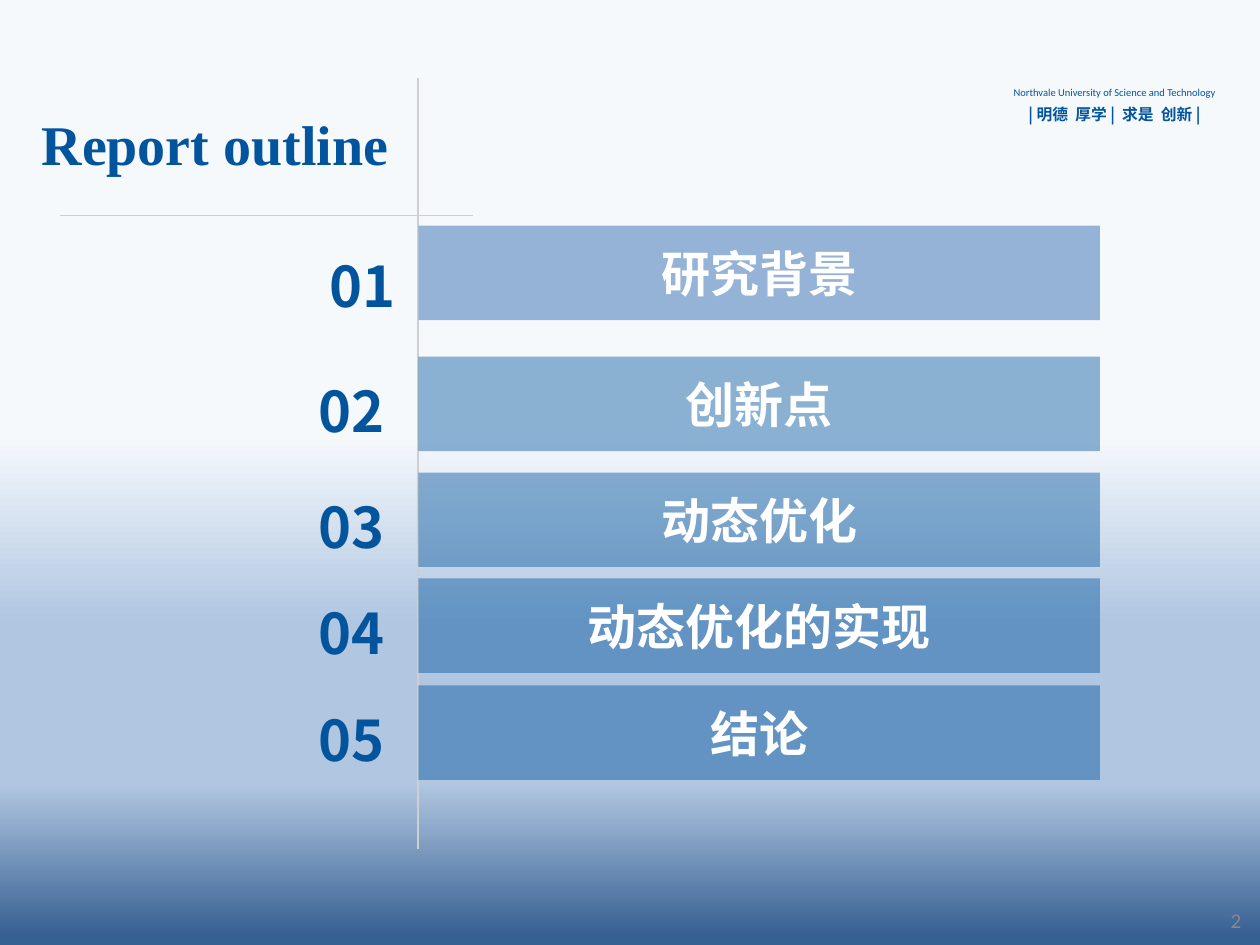
from lxml import etree
from pptx import Presentation
from pptx.dml.color import RGBColor
from pptx.enum.shapes import MSO_CONNECTOR, MSO_SHAPE
from pptx.enum.text import MSO_ANCHOR, MSO_AUTO_SIZE, PP_ALIGN
from pptx.oxml.ns import qn
from pptx.util import Inches, Pt

STRAIGHT = MSO_CONNECTOR.STRAIGHT
RECTANGLE = MSO_SHAPE.RECTANGLE
TOP, MIDDLE = MSO_ANCHOR.TOP, MSO_ANCHOR.MIDDLE
GROW, FIXED = MSO_AUTO_SIZE.SHAPE_TO_FIT_TEXT, MSO_AUTO_SIZE.NONE
LEFT, CENTER, RIGHT = PP_ALIGN.LEFT, PP_ALIGN.CENTER, PP_ALIGN.RIGHT
BLUE = "02549D"
CJK = "Noto Sans CJK SC"


def color(value):
    return RGBColor.from_string(value)


def write(shape, text, size, font, ink=BLUE, bold=False, align=LEFT,
          anchor=TOP, spacing=1.0, wrap=True, fit=FIXED, inset=None):
    frame = shape.text_frame
    frame.word_wrap, frame.auto_size, frame.vertical_anchor = wrap, fit, anchor
    if inset is not None:
        frame.margin_left = frame.margin_right = Inches(inset)
        frame.margin_top = frame.margin_bottom = Inches(inset)
    paragraph = frame.paragraphs[0]
    paragraph.alignment, paragraph.line_spacing = align, spacing
    run = paragraph.add_run()
    run.text = text
    run.font.size, run.font.name, run.font.bold = Pt(size), font, bold
    run.font.color.rgb = color(ink)
    east_asian = etree.SubElement(run.font._element, qn("a:ea"))
    east_asian.set("typeface", CJK)


prs = Presentation()
prs.slide_width, prs.slide_height = Inches(10), Inches(7.5)
slide = prs.slides.add_slide(prs.slide_layouts[5])
shapes = slide.shapes

backdrop = slide.background.fill
backdrop.gradient()
backdrop.gradient_angle = 270
stops = slide.background._cSld.find(".//" + qn("a:gsLst"))
for stop in list(stops):
    stops.remove(stop)
for percent, tint in [(46, "F6F9FC"), (66, "B0C6E1"), (83, "B0C6E1"), (99, "376092")]:
    stop = etree.SubElement(stops, qn("a:gs"), pos=str(percent * 1000))
    etree.SubElement(stop, qn("a:srgbClr"), val=tint)

title = shapes.title
title.left, title.top = Inches(0.23), Inches(0.78)
title.width, title.height = Inches(3.04), Inches(0.71)
write(title, "Report outline", 32, "Times New Roman", bold=True, anchor=MIDDLE)

page_number = shapes.add_textbox(Inches(9.57), Inches(7.1), Inches(0.38), Inches(0.4))
write(page_number, "2", 12, "Calibri", ink="898989", align=RIGHT, anchor=MIDDLE)

for x1, y1, x2, y2 in [(0.48, 1.71, 3.75, 1.71), (3.32, 0.62, 3.32, 6.74)]:
    rule = shapes.add_connector(STRAIGHT, Inches(x1), Inches(y1), Inches(x2), Inches(y2))
    rule.line.color.rgb = color("CFCFCF")
    rule.line.width = Pt(1)
    etree.SubElement(rule._element.spPr, qn("a:effectLst"))

university = shapes.add_textbox(Inches(7.92), Inches(0.63), Inches(1.85), Inches(0.23))
write(university, "Northvale University of Science and Technology", 6, "Calibri",
      align=CENTER, wrap=False, fit=GROW)
motto = shapes.add_textbox(Inches(7.69), Inches(0.78), Inches(2.31), Inches(0.29))
write(motto, "| 明德  厚学 |  求是  创新 |", 9, CJK, bold=True, align=CENTER, fit=GROW)

sections = [
    ("研究背景", 1.79, 2.47, 1.84),
    ("创新点", 2.83, 2.38, 2.83),
    ("动态优化", 3.75, 2.38, 3.75),
    ("动态优化的实现", 4.59, 2.38, 4.59),
    ("结论", 5.44, 2.38, 5.44),
]
for index, (heading, bar_top, number_left, number_top) in enumerate(sections, start=1):
    number = shapes.add_textbox(Inches(number_left), Inches(number_top),
                                Inches(0.77), Inches(0.75))
    write(number, f"{index:02d}", 32, "Noto Sans CJK JP", bold=True,
          align=RIGHT, spacing=1.2, fit=GROW)

    bar = shapes.add_shape(RECTANGLE, Inches(3.32), Inches(bar_top),
                           Inches(5.41), Inches(0.75))
    bar.shadow.inherit = False
    bar.line.fill.background()
    bar.fill.solid()
    bar.fill.fore_color.rgb = color("95B3D7" if index == 1 else BLUE)
    if index > 1:
        bar_color = bar._element.spPr.find(".//" + qn("a:srgbClr"))
        etree.SubElement(bar_color, qn("a:alpha"), val="44000")
    write(bar, heading, 28, "Times New Roman", ink="FFFFFF", bold=True,
          align=CENTER, anchor=MIDDLE, inset=0)

prs.save("out.pptx")
